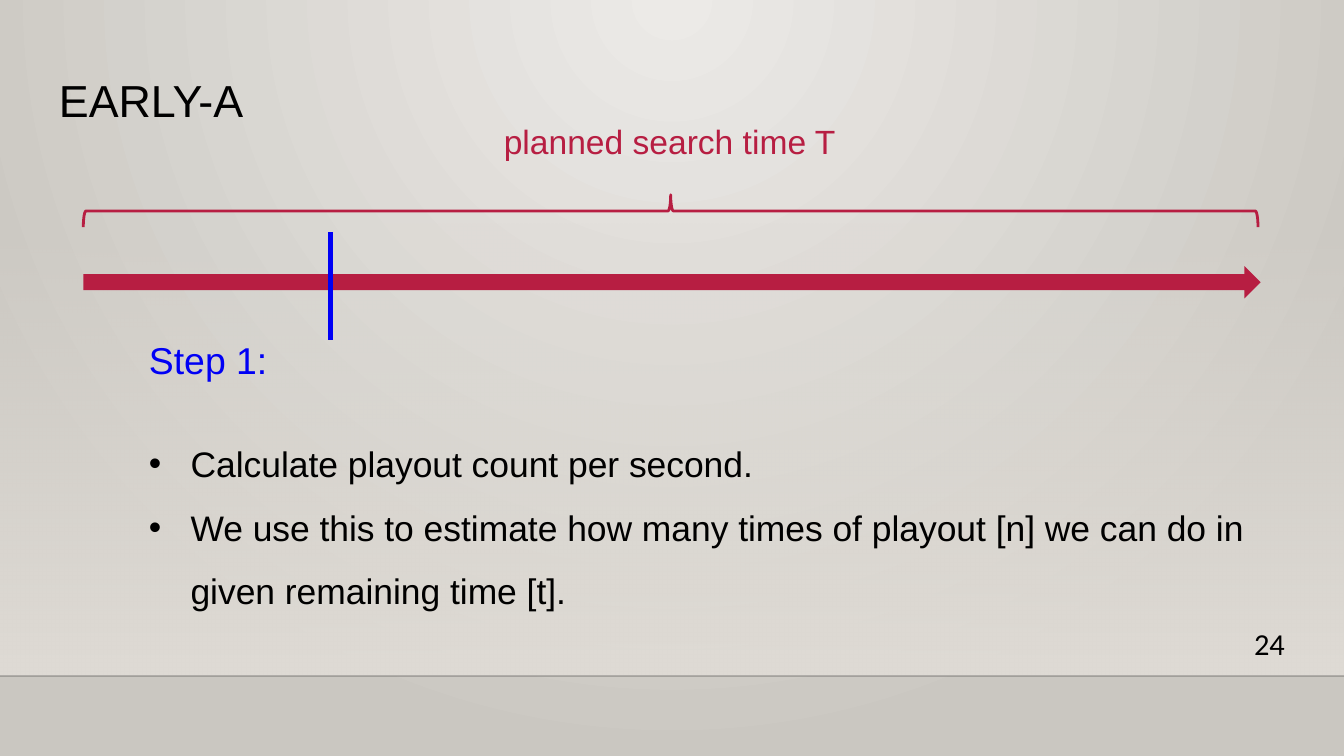
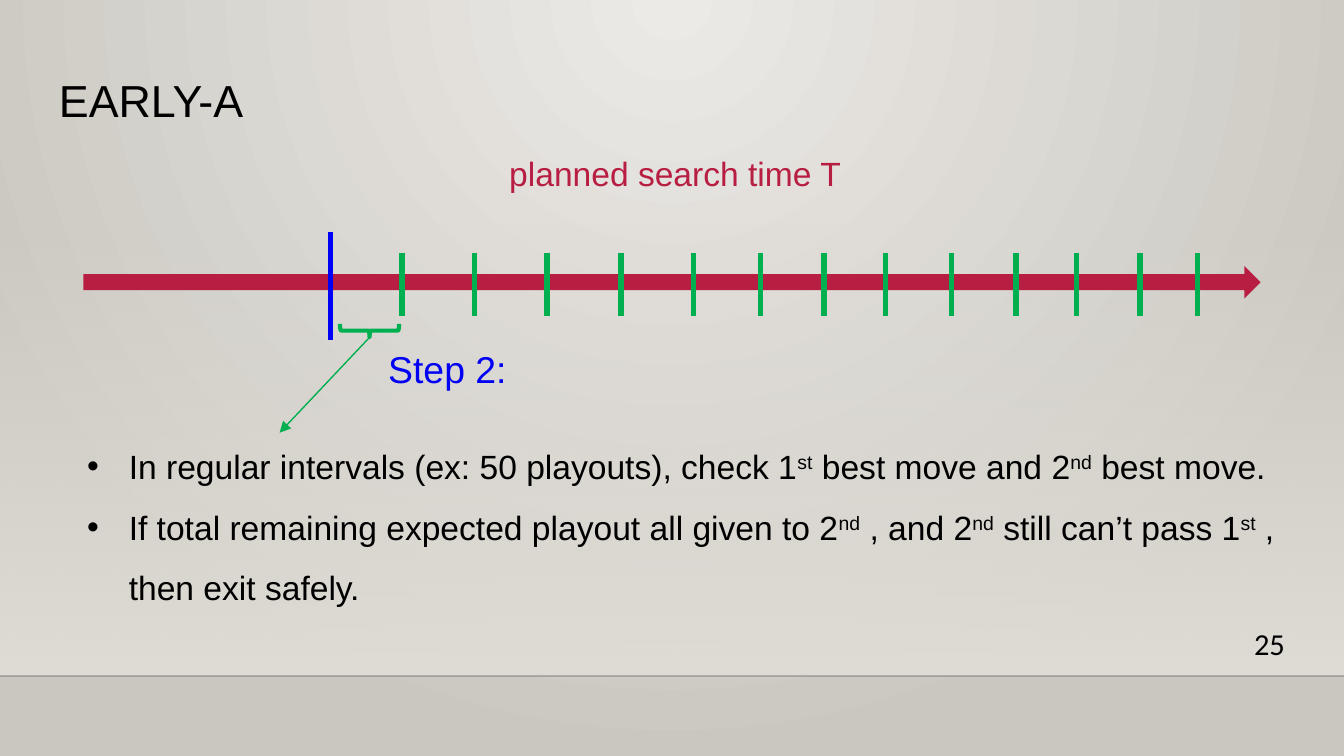
from dataclasses import dataclass
from typing import Optional

from lxml import etree
from pptx import Presentation
from pptx.dml.color import RGBColor
from pptx.enum.shapes import MSO_CONNECTOR, MSO_SHAPE
from pptx.enum.text import MSO_ANCHOR, MSO_AUTO_SIZE, PP_ALIGN
from pptx.oxml.ns import qn
from pptx.util import Inches, Pt

STRAIGHT = MSO_CONNECTOR.STRAIGHT
RECTANGLE = MSO_SHAPE.RECTANGLE
RIGHT_ARROW = MSO_SHAPE.RIGHT_ARROW
LEFT_BRACE = MSO_SHAPE.LEFT_BRACE
TOP, MIDDLE = MSO_ANCHOR.TOP, MSO_ANCHOR.MIDDLE
GROW, FIXED = MSO_AUTO_SIZE.SHAPE_TO_FIT_TEXT, MSO_AUTO_SIZE.NONE
LEFT, RIGHT = PP_ALIGN.LEFT, PP_ALIGN.RIGHT

# 16:9 page
SLIDE_WIDTH = Inches(10)
SLIDE_HEIGHT = SLIDE_WIDTH * 9 // 16


@dataclass(frozen=True)
class Theme:
    font: str = "Arial"
    number_font: str = "Calibri"
    text: str = "000000"
    crimson: str = "B71E42"
    blue: str = "0000F5"
    green: str = "00B050"
    glow: str = "ECEAE7"
    backdrop: str = "CAC7C1"
    band: str = "DFDBD5"
    floor: str = "000001"
    title_size: float = 24
    step_size: float = 20
    label_size: float = 18
    number_size: float = 16.3


THEME = Theme()


@dataclass(frozen=True)
class Box:
    left: float
    top: float
    width: float
    height: float

    def emu(self) -> list[int]:
        return [Inches(v) for v in (self.left, self.top, self.width, self.height)]


@dataclass(frozen=True)
class Label:
    """Text in a box; parts between ^ marks are superscript."""
    box: Box
    paragraphs: tuple[str, ...]
    size: float
    color: str = THEME.text
    font: str = THEME.font
    align: PP_ALIGN = LEFT
    anchor: MSO_ANCHOR = TOP
    spacing: Optional[float] = None
    wrap: bool = True
    bullets: bool = False
    inset: float = 0.05
    auto_size: MSO_AUTO_SIZE = FIXED


@dataclass(frozen=True)
class Line:
    x1: float
    y1: float
    x2: float
    y2: float
    color: str
    width: float
    arrow: bool = False


@dataclass(frozen=True)
class Brace:
    box: Box  # as seen, after rotation
    rotation: int
    color: str
    width: float


@dataclass(frozen=True)
class Stage:
    number: int
    caption_at: Box
    step: str
    step_at: Box
    body: tuple[str, ...]
    body_at: Box
    body_size: float
    brace: Brace
    ticks: tuple[float, ...] = ()
    leader: Optional[Line] = None


# Drawing helpers
def set_alpha(shape, percent: int) -> None:
    color = shape.element.spPr.find(".//" + qn("a:srgbClr"))
    etree.SubElement(color, qn("a:alpha"), val=str(percent * 1000))


def set_gradient(fill, start: str, end: str) -> None:
    fill.gradient()
    for stop, color, position in zip(fill.gradient_stops, (start, end), (0, 1)):
        stop.color.rgb = RGBColor.from_string(color)
        stop.position = position


def add_label(slide, label: Label) -> None:
    frame = slide.shapes.add_textbox(*label.box.emu()).text_frame
    frame.word_wrap = label.wrap
    frame.auto_size = label.auto_size
    frame.vertical_anchor = label.anchor
    frame.margin_top = frame.margin_bottom = Inches(label.inset)
    for index, text in enumerate(label.paragraphs):
        paragraph = frame.add_paragraph() if index else frame.paragraphs[0]
        paragraph.alignment = label.align
        if label.spacing:
            paragraph.line_spacing = label.spacing
        if label.bullets:
            properties = paragraph._p.get_or_add_pPr()
            properties.set("marL", str(Inches(0.31)))
            properties.set("indent", str(-Inches(0.31)))
            etree.SubElement(properties, qn("a:buFont"), typeface=label.font)
            etree.SubElement(properties, qn("a:buChar"), char="•")
        font = paragraph.font
        font.name, font.size = label.font, Pt(label.size)
        font.color.rgb = RGBColor.from_string(label.color)
        for part, words in enumerate(text.split("^")):
            run = paragraph.add_run()
            run.text = words
            if part % 2:
                run._r.get_or_add_rPr().set("baseline", "30000")


def add_line(slide, line: Line):
    connector = slide.shapes.add_connector(
        STRAIGHT, *(Inches(v) for v in (line.x1, line.y1, line.x2, line.y2)))
    connector.line.color.rgb = RGBColor.from_string(line.color)
    connector.line.width = Pt(line.width)
    if line.arrow:
        etree.SubElement(connector.line._get_or_add_ln(), qn("a:tailEnd"), type="triangle")
    etree.SubElement(connector.element.spPr, qn("a:effectLst"))
    return connector


def add_brace(slide, brace: Brace) -> None:
    seen = brace.box
    shift = (seen.width - seen.height) / 2
    upright = Box(seen.left + shift, seen.top - shift, seen.height, seen.width)
    shape = slide.shapes.add_shape(LEFT_BRACE, *upright.emu())
    shape.rotation = brace.rotation
    shape.shadow.inherit = False
    shape.fill.background()
    shape.line.color.rgb = RGBColor.from_string(brace.color)
    shape.line.width = Pt(brace.width)


# Shared parts of every slide
def add_backdrop(slide) -> None:
    set_gradient(slide.background.fill, THEME.glow, THEME.backdrop)
    gradient = slide.element.find(".//" + qn("a:gradFill"))
    gradient.remove(gradient.find(qn("a:lin")))
    radial = etree.SubElement(gradient, qn("a:path"), {"path": "circle"})
    etree.SubElement(radial, qn("a:fillToRect"), l="43000", t="0", r="43000", b="100000")

    band = slide.shapes.add_shape(RECTANGLE, *Box(0, 1.66, 10, 3.37).emu())
    band.shadow.inherit = False
    band.line.fill.background()
    set_gradient(band.fill, THEME.band, THEME.band)
    band.fill.gradient_angle = 270
    set_alpha(band, 0)
    set_alpha(add_line(slide, Line(0, 5.03, 10, 5.03, THEME.floor, 1)), 20)


def add_timeline(slide) -> None:
    timeline = slide.shapes.add_shape(RIGHT_ARROW, *Box(0.62, 1.98, 8.76, 0.24).emu())
    timeline.shadow.inherit = False
    timeline.fill.solid()
    timeline.fill.fore_color.rgb = RGBColor.from_string(THEME.crimson)
    timeline.line.fill.background()


def add_stage(deck, stage: Stage) -> None:
    slide = deck.slides.add_slide(deck.slide_layouts[6])
    add_backdrop(slide)
    add_label(slide, Label(Box(0.34, 0.49, 9.32, 0.63), ("EARLY-A",),
                           THEME.title_size, spacing=0.9, inset=0.1))
    add_label(slide, Label(Box(9.06, 4.57, 0.6, 0.43), (str(stage.number),),
                           THEME.number_size, font=THEME.number_font,
                           align=RIGHT, anchor=MIDDLE, inset=0.1))
    add_timeline(slide)
    add_label(slide, Label(stage.caption_at, ("planned search time T",), THEME.label_size,
                           THEME.crimson, wrap=False, auto_size=GROW))
    add_line(slide, Line(2.46, 1.73, 2.46, 2.53, THEME.blue, 3))
    add_label(slide, Label(stage.step_at, (stage.step,), THEME.step_size,
                           THEME.blue, wrap=False, auto_size=GROW))
    add_label(slide, Label(stage.body_at, stage.body, stage.body_size,
                           spacing=1.5, bullets=True, auto_size=GROW))
    for x in stage.ticks:
        add_line(slide, Line(x, 1.88, x, 2.35, THEME.green, 3))
    add_brace(slide, stage.brace)
    if stage.leader:
        add_line(slide, stage.leader)


# Content
STAGES = (
    Stage(
        number=24,
        caption_at=Box(3.65, 0.85, 2.69, 0.4),
        step="Step 1:",
        step_at=Box(1.01, 2.46, 1.09, 0.44),
        body=("Calculate playout count per second.",
              "We use this to estimate how many times of playout [n] we can do in "
              "given remaining time [t]."),
        body_at=Box(1.01, 3.08, 8.37, 1.48),
        body_size=19,
        brace=Brace(Box(0.62, 1.45, 8.74, 0.24), 90, THEME.crimson, 1.5),
    ),
    Stage(
        number=25,
        caption_at=Box(3.69, 1.09, 2.69, 0.4),
        step="Step 2:",
        step_at=Box(2.79, 2.53, 1.09, 0.44),
        body=("In regular intervals (ex: 50 playouts), check 1^st^ best move and "
              "2^nd^ best move.",
              "If total remaining expected playout all given to 2^nd^ , and 2^nd^ still "
              "can’t pass 1^st^ , then exit safely."),
        body_at=Box(0.55, 3.12, 9.21, 1.86),
        body_size=18,
        brace=Brace(Box(2.53, 2.41, 0.44, 0.1), 270, THEME.green, 2.25),
        ticks=(2.99, 3.53, 4.07, 4.62, 5.16, 5.66, 6.13,
               6.59, 7.08, 7.56, 8.01, 8.48, 8.91),
        leader=Line(2.75, 2.51, 2.08, 3.22, THEME.green, 0.75, arrow=True),
    ),
)


def main() -> None:
    deck = Presentation()
    deck.slide_width, deck.slide_height = SLIDE_WIDTH, SLIDE_HEIGHT
    for stage in STAGES:
        add_stage(deck, stage)
    deck.save("out.pptx")


if __name__ == "__main__":
    main()
